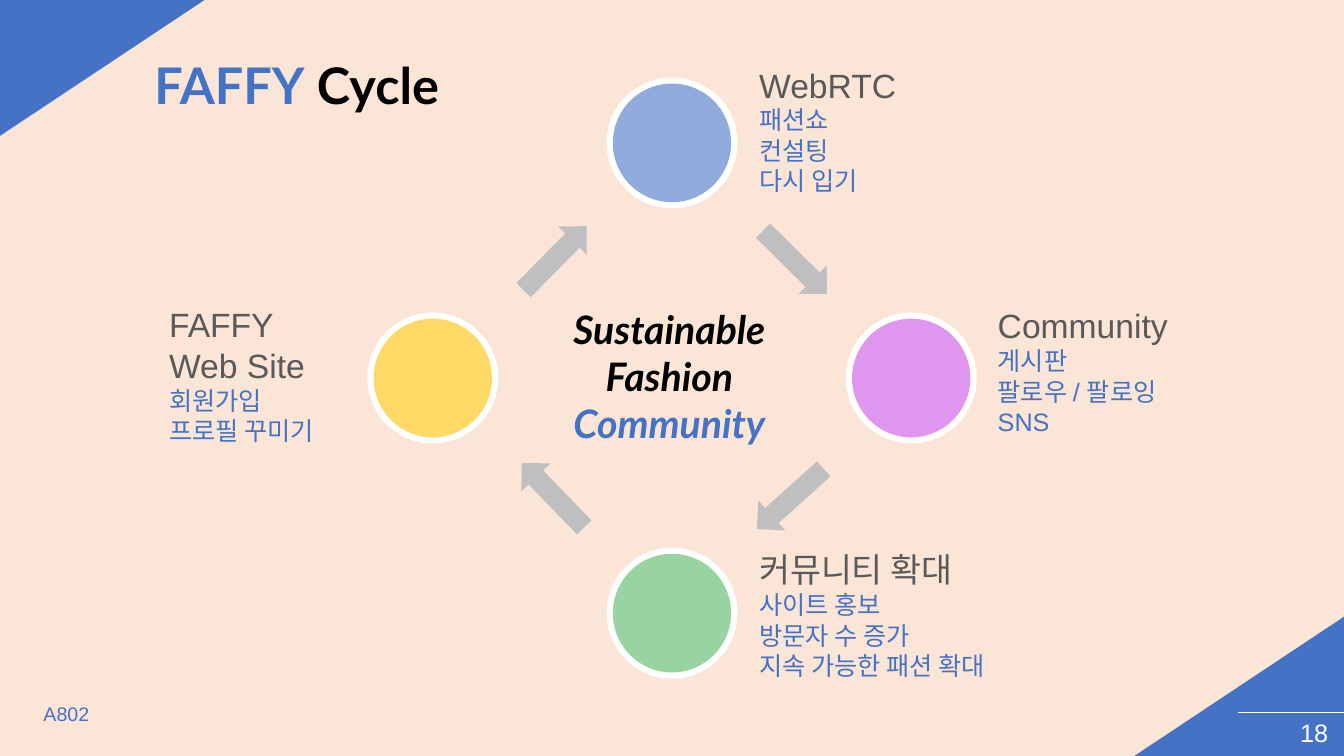
from dataclasses import dataclass

from lxml import etree
from pptx import Presentation
from pptx.dml.color import RGBColor
from pptx.enum.shapes import MSO_CONNECTOR, MSO_SHAPE
from pptx.enum.text import PP_ALIGN
from pptx.oxml.ns import qn
from pptx.util import Inches, Pt

RECT, OVAL, ARROW = MSO_SHAPE.RECTANGLE, MSO_SHAPE.OVAL, MSO_SHAPE.RIGHT_ARROW
LINE = MSO_CONNECTOR.STRAIGHT
LEFT, MID, RIGHT = PP_ALIGN.LEFT, PP_ALIGN.CENTER, PP_ALIGN.RIGHT
WIDE, HIGH = Inches(13.33), Inches(7.5)


@dataclass(frozen=True)
class Theme:
    back: str = "FBE5D6"
    blue: str = "4472C4"
    white: str = "FFFFFF"
    black: str = "000000"
    gray: str = "595959"
    pale: str = "BFBFBF"
    body: str = "Arial"
    head: str = "Lato"
    title: int = 36
    core: int = 28
    label: int = 24
    item: int = 18
    foot: int = 14


T = Theme()

# Stages clockwise from the top: colour, label corner, label width, heading, items
STAGES = [
    ("90ABDC", (55.75, 7.87), 25.5, "WebRTC", ["패션쇼", "컨설팅", "다시 입기"]),
    ("DF96EE", (73.5, 39.73), 25.5, "Community",
     ["게시판", "팔로우 / 팔로잉", "SNS"]),
    ("98D4A2", (55.75, 72), 25.5, "커뮤니티 확대",
     ["사이트 홍보", "방문자 수 증가", "지속 가능한 패션 확대"]),
    ("FFD966", (11.85, 39.6), 13.75, "FAFFY Web Site",
     ["회원가입", "프로필 꾸미기"]),
]
# Steps of the cycle from its hub, in reach units
STEPS = [(0, -1), (1, 0), (0, 1), (-1, 0)]
HUB, REACH = (50, 50), (17.8, 31.1)
# Arrow centres and turns
TURNS = [((59.15, 34.7), 44.8), ((58.8, 66), 138),
         ((41.15, 65.5), 225.9), ((41.3, 34.15), 314.6)]


def across(share):
    return int(WIDE * share / 100)


def down(share):
    return int(HIGH * share / 100)


def shape(slide, kind, mid, size, fill, turn=0):
    """Plain shape placed by its centre, in percent of the slide."""
    (x, y), (w, h) = mid, size
    item = slide.shapes.add_shape(kind, across(x - w / 2), down(y - h / 2),
                                  across(w), down(h))
    item.rotation = turn
    item.shadow.inherit = False
    item.fill.solid()
    item.fill.fore_color.rgb = RGBColor.from_string(fill)
    item.line.fill.background()


def text(slide, box, lines, font=T.body, align=LEFT, wrap=True,
         bold=False, slant=False):
    """Each line is a list of (words, size, colour) runs."""
    x, y, w, h = box
    frame = slide.shapes.add_textbox(across(x), down(y),
                                     across(w), down(h)).text_frame
    frame.word_wrap = wrap
    for i, line in enumerate(lines):
        para = frame.add_paragraph() if i else frame.paragraphs[0]
        para.alignment = align
        for words, size, color in line:
            run = para.add_run()
            run.text = words
            run.font.name, run.font.size = font, Pt(size)
            run.font.bold, run.font.italic = bold, slant
            run.font.color.rgb = RGBColor.from_string(color)


def rule(slide, start, end, y):
    line = slide.shapes.add_connector(LINE, across(start), down(y),
                                      across(end), down(y))
    line.line.color.rgb = RGBColor.from_string(T.white)
    line.line.width = Pt(0.5)
    etree.SubElement(line._element.spPr, qn("a:effectLst"))


def stage(slide, step, color, spot, width, name, items):
    mid = [h + s * r for h, s, r in zip(HUB, step, REACH)]
    shape(slide, OVAL, mid, (9.75, 17.33), T.white)
    shape(slide, OVAL, mid, (8.8, 15.7), color)
    lines = [[(name, T.label, T.gray)]]
    lines += [[(item, T.item, T.blue)] for item in items]
    text(slide, (*spot, width, 18.8), lines)


def main():
    deck = Presentation()
    deck.slide_width, deck.slide_height = WIDE, HIGH
    slide = deck.slides.add_slide(deck.slide_layouts[6])
    fill = slide.background.fill
    fill.solid()
    fill.fore_color.rgb = RGBColor.from_string(T.back)

    # Blue corners
    for mid in ((1.88, -7.53), (96.62, 108.87)):
        shape(slide, RECT, mid, (36.9, 38.8), T.blue, 326.4)

    # Footer
    rule(slide, 92.1, 100, 94.27)
    text(slide, (95.95, 94.27, 3.6, 5.33), [[("18", T.item, T.white)]],
         align=RIGHT, wrap=False)
    text(slide, (2.5, 92.13, 28, 4.5), [[("A802", T.foot, T.blue)]])

    # Cycle
    for step, data in zip(STEPS, STAGES):
        stage(slide, step, *data)
    for mid, turn in TURNS:
        shape(slide, ARROW, mid, (6.68, 5.33), T.pale, turn)

    # Title and core message
    text(slide, (10.75, 6.53, 27.4, 17.5),
         [[("FAFFY", T.title, T.blue), (" Cycle", T.title, T.black)]],
         T.head, bold=True)
    text(slide, (36.1, 39.73, 27.4, 20.13),
         [[("Sustainable", T.core, T.black)], [("Fashion", T.core, T.black)],
          [("Community", T.core, T.blue)]],
         T.head, MID, bold=True, slant=True)

    deck.save("out.pptx")


if __name__ == "__main__":
    main()
